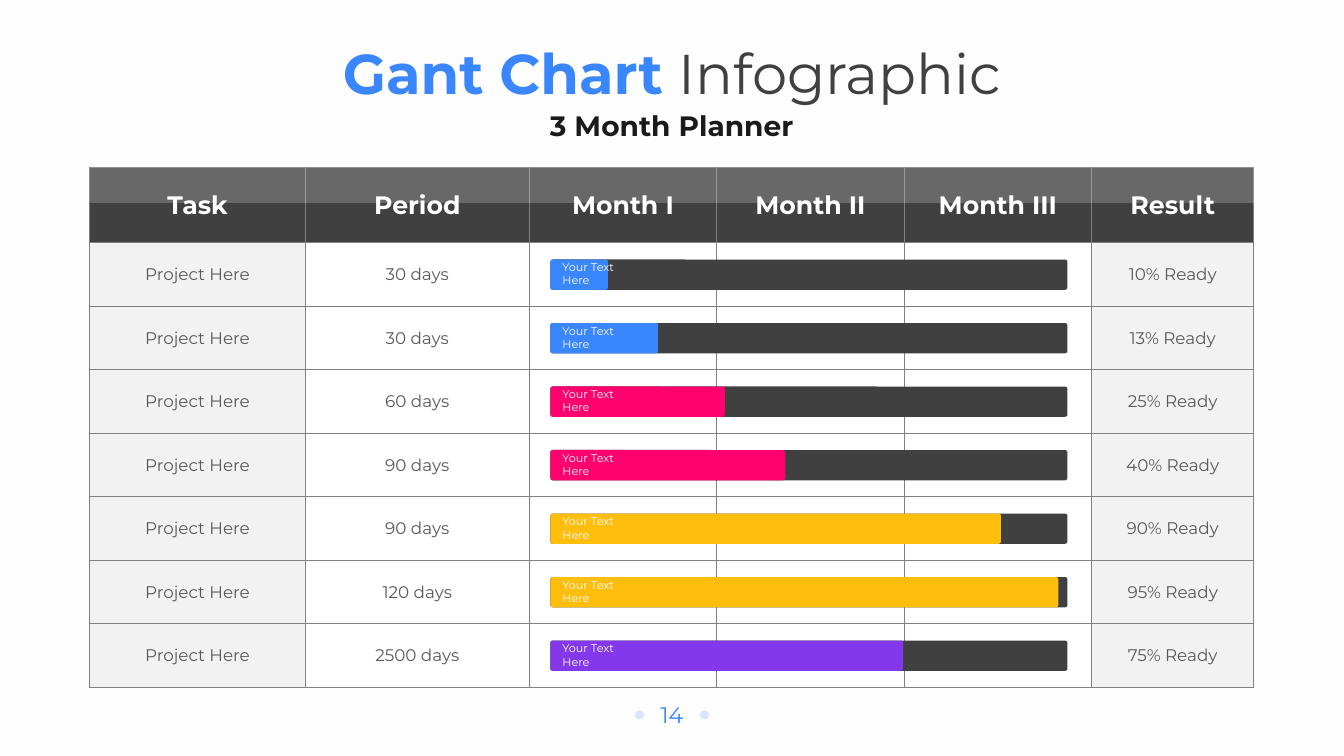
from lxml.etree import SubElement
from pptx import Presentation
from pptx.dml.color import RGBColor
from pptx.enum.shapes import MSO_SHAPE
from pptx.enum.text import MSO_ANCHOR, MSO_AUTO_SIZE, PP_ALIGN
from pptx.oxml.ns import qn
from pptx.util import Inches, Pt

COLORS = {
    "back": "FDFDFD", "blue": "3A86FF", "pale": "D8E7FF", "pink": "FF006E",
    "gold": "FFBE0B", "violet": "8338EC", "dark": "404040", "black": "1A1A1A",
    "text": "595959", "light": "F2F2F2", "white": "FFFFFF", "line": "808080",
}
FONT = "Montserrat"

# Slide grid: 40 columns by 22.5 rows of square units
UNIT = Inches(13.33) / 40

# Table layout, in grid units
LEFT, TOP = 2.67, 4.98
COLS = [6.42, 6.66, 5.58, 5.58, 5.58, 4.83]
HEAD, ROW = 2.25, 1.89
BAR_LEFT, BAR_WIDE, BAR_HIGH = 16.38, 15.39, 0.9

HEADS = ["Task", "Period", "Month I", "Month II", "Month III", "Result"]
# Period, result, bar length, bar colour
TASKS = [
    ("30 days", "10% Ready", 1.71, "blue"),
    ("30 days", "13% Ready", 3.21, "blue"),
    ("60 days", "25% Ready", 5.19, "pink"),
    ("90 days", "40% Ready", 6.99, "pink"),
    ("90 days", "90% Ready", 13.41, "gold"),
    ("120 days", "95% Ready", 15.12, "gold"),
    ("2500 days", "75% Ready", 10.5, "violet"),
]


def grid(*units):
    return [round(u * UNIT) for u in units]


def color(name):
    return RGBColor.from_string(COLORS[name])


class Page:
    def __init__(self, deck):
        self.slide = deck.slides.add_slide(deck.slide_layouts[0])
        self.shapes = self.slide.shapes
        fill = self.slide.background.fill
        fill.solid()
        fill.fore_color.rgb = color("back")

    def put(self, frame, runs, size, align=PP_ALIGN.CENTER):
        """Fill the first paragraph from (text, colour, bold) runs."""
        para = frame.paragraphs[0]
        para.alignment = align
        para.space_before = Pt(0)
        for text, tone, bold in runs:
            run = para.add_run()
            run.text = text
            run.font.name = FONT
            run.font.size = Pt(size)
            run.font.bold = bold
            run.font.color.rgb = color(tone)
        return para

    def holder(self, index, box, runs, size, anchor):
        item = self.slide.placeholders[index]
        item.left, item.top, item.width, item.height = grid(*box)
        frame = item.text_frame
        frame.auto_size = MSO_AUTO_SIZE.NONE
        frame.word_wrap = True
        frame.vertical_anchor = anchor
        return self.put(frame, runs, size)

    def label(self, box, text, tone, size, align, inset=None):
        frame = self.shapes.add_textbox(*grid(*box)).text_frame
        frame.word_wrap = inset is None
        if inset is not None:
            frame.vertical_anchor = MSO_ANCHOR.MIDDLE
            frame.margin_left = frame.margin_right = Inches(inset)
            frame.margin_top = frame.margin_bottom = Inches(inset)
        self.put(frame, [(text, tone, False)], size, align)

    def shape(self, kind, box, tone, alpha=None):
        item = self.shapes.add_shape(kind, *grid(*box))
        item.shadow.inherit = False
        item.line.fill.background()
        item.fill.solid()
        item.fill.fore_color.rgb = color(tone)
        if kind == MSO_SHAPE.ROUNDED_RECTANGLE:
            item.adjustments[0] = 0.08
        if alpha:
            tint = item.element.spPr.find(".//" + qn("a:srgbClr"))
            SubElement(tint, qn("a:alpha"), val=str(alpha * 1000))

    def cell(self, cell, text, tone, size, bold, fill):
        cell.margin_left = cell.margin_right = 0
        cell.margin_top = cell.margin_bottom = 0
        cell.vertical_anchor = MSO_ANCHOR.MIDDLE
        if text:
            self.put(cell.text_frame, [(text, tone, bold)], size)
        # Borders come before the fill in the cell properties
        props = cell._tc.get_or_add_tcPr()
        for side in ("lnL", "lnR", "lnT", "lnB"):
            edge = SubElement(props, qn("a:" + side), w=str(int(Pt(1))))
            solid = SubElement(edge, qn("a:solidFill"))
            SubElement(solid, qn("a:srgbClr"), val=COLORS["line"])
        cell.fill.solid()
        cell.fill.fore_color.rgb = color(fill)

    def table(self, heads, rows):
        high = HEAD + ROW * len(rows)
        box = grid(LEFT, TOP, sum(COLS), high)
        table = self.shapes.add_table(len(rows) + 1, len(heads), *box).table
        table.horz_banding = False
        for col, wide in zip(table.columns, COLS):
            col.width = grid(wide)[0]
        for i, row in enumerate(table.rows):
            row.height = grid(ROW if i else HEAD)[0]
        for j, text in enumerate(heads):
            self.cell(table.cell(0, j), text, "white", 18, True, "dark")
            fill = "light" if j in (0, len(heads) - 1) else "white"
            for i, row in enumerate(rows, 1):
                self.cell(table.cell(i, j), row[j], "text", 12, False, fill)

    def bar(self, index, wide, tone):
        top = TOP + HEAD + ROW * index + (ROW - BAR_HIGH) / 2
        for span, fill in ((BAR_WIDE, "dark"), (wide, tone)):
            self.shape(MSO_SHAPE.ROUNDED_RECTANGLE,
                       (BAR_LEFT, top, span, BAR_HIGH), fill)
        self.label((BAR_LEFT + 0.27, top + 0.14, 2.61, 0.57),
                   "Your Text Here", "white", 8, PP_ALIGN.LEFT, 0.03)


def main():
    deck = Presentation()
    deck.slide_width, deck.slide_height = grid(40, 22.5)
    page = Page(deck)

    # Title and subtitle
    page.holder(0, (6.21, 0.99, 27.57, 2.31),
                [("Gant Chart ", "blue", True), ("Infographic", "dark", False)],
                40, MSO_ANCHOR.TOP)
    para = page.holder(1, (13.74, 3.12, 12.51, 1.26),
                       [("3 Month Planner", "black", True)],
                       20, MSO_ANCHOR.BOTTOM)
    para.line_spacing = 0.9

    # Task table
    page.table(HEADS, [("Project Here", period, "", "", "", result)
                       for period, result, _, _ in TASKS])

    # Progress bars
    for i, (_, _, wide, tone) in enumerate(TASKS):
        page.bar(i, wide, tone)

    # Gloss over the upper half of the header
    page.shape(MSO_SHAPE.RECTANGLE, (LEFT, TOP, sum(COLS), 1.06), "white", 21)

    # Page number between two dots
    page.label((19.07, 20.73, 1.86, 1.11), "14", "blue", 16, PP_ALIGN.CENTER)
    for left in (18.9, 20.83):
        page.shape(MSO_SHAPE.OVAL, (left, 21.14, 0.27, 0.27), "pale")

    deck.save("out.pptx")


if __name__ == "__main__":
    main()
